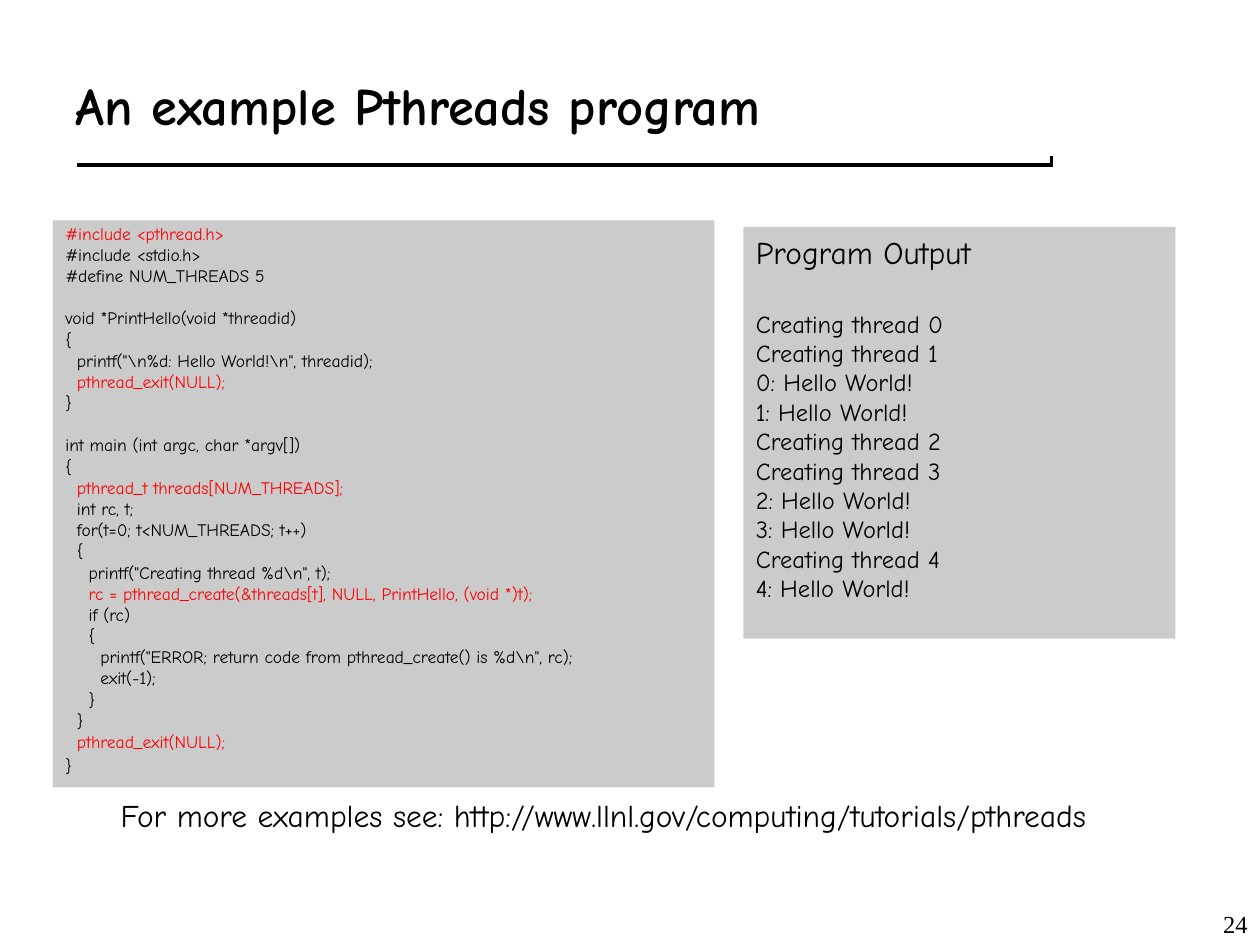
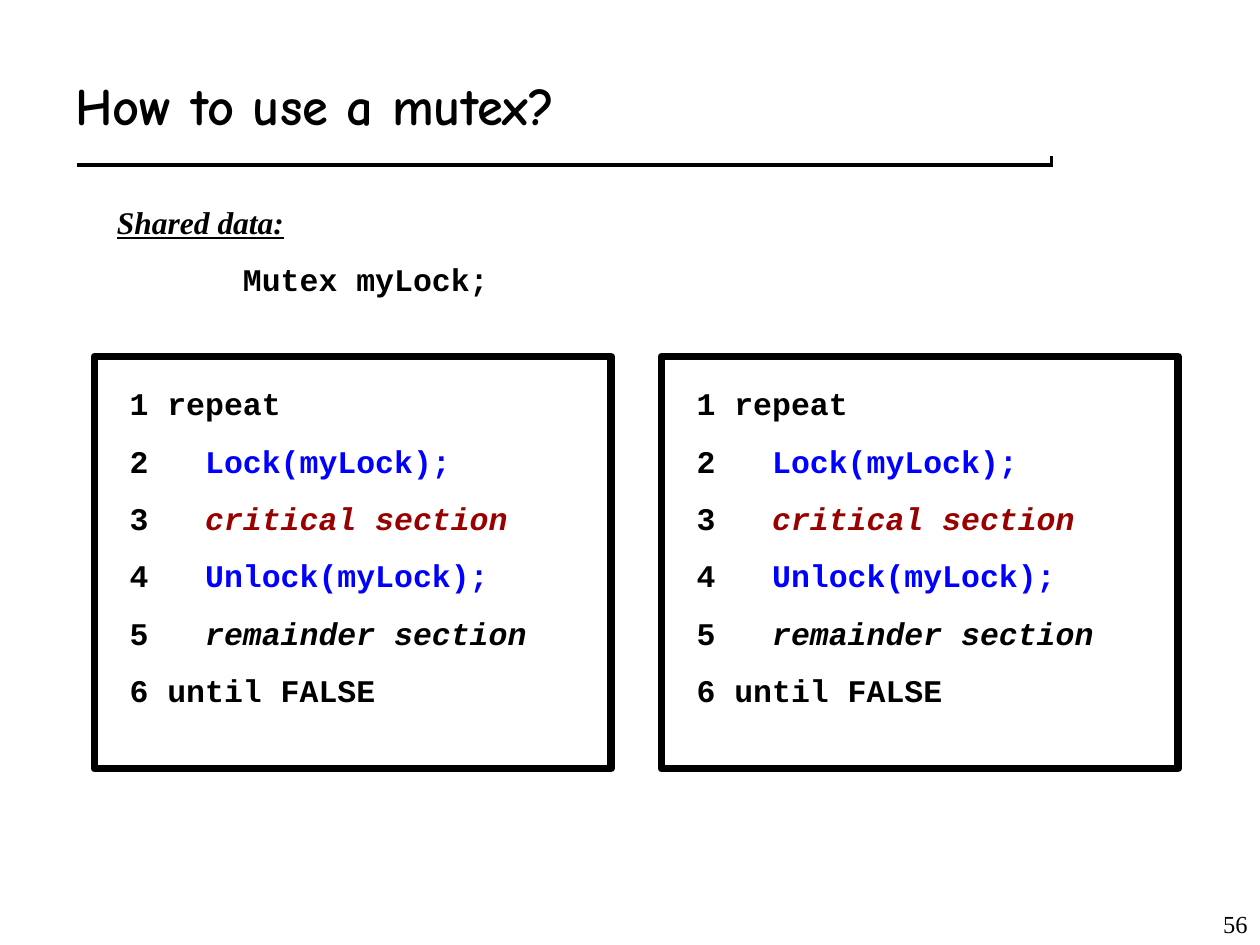
from lxml import etree
from pptx import Presentation
from pptx.dml.color import RGBColor
from pptx.enum.shapes import MSO_CONNECTOR, MSO_SHAPE
from pptx.enum.text import MSO_ANCHOR, PP_ALIGN
from pptx.oxml.ns import qn
from pptx.util import Inches, Pt

STRAIGHT = MSO_CONNECTOR.STRAIGHT
RECTANGLE = MSO_SHAPE.RECTANGLE
TOP, MIDDLE, BOTTOM = MSO_ANCHOR.TOP, MSO_ANCHOR.MIDDLE, MSO_ANCHOR.BOTTOM
LEFT, RIGHT = PP_ALIGN.LEFT, PP_ALIGN.RIGHT

COLORS = {
    "black": "000000",
    "white": "FFFFFF",
    "panel": "CBCBCB",
    "thread_call": "FF0000",
    "lock_call": "0000FF",
    "critical": "990000",
}
TITLE = {"name": "Comic Neue", "size": Pt(30), "bold": True}
NUMBER = {"name": "Times New Roman", "size": Pt(14)}
CODE = {"name": "Comic Neue", "size": Pt(10)}
HEADING = {"name": "Comic Neue", "size": Pt(18)}
OUTPUT = {"name": "Comic Neue", "size": Pt(14)}
PSEUDOCODE = {"name": "Courier New", "size": Pt(18), "bold": True}
SHARED = {"name": "Times New Roman", "size": Pt(18), "bold": True, "italic": True, "underline": True}


def add_text(slide, box, paragraphs, anchor=TOP, fill=None):
    lengths = [Inches(v) for v in box]
    if fill:
        holder = slide.shapes.add_shape(RECTANGLE, *lengths)
        holder.shadow.inherit = False
        holder.fill.solid()
        holder.fill.fore_color.rgb = RGBColor.from_string(COLORS[fill])
        holder.line.fill.background()
    else:
        holder = slide.shapes.add_textbox(*lengths)
    frame = holder.text_frame
    frame.word_wrap = True
    frame.vertical_anchor = anchor
    for index, (runs, spacing) in enumerate(paragraphs):
        paragraph = frame.add_paragraph() if index else frame.paragraphs[0]
        for attribute, value in {"alignment": LEFT, **spacing}.items():
            if index or attribute != "space_before":
                setattr(paragraph, attribute, value)
        for text, style, color in runs:
            run = paragraph.add_run()
            run.text = text
            for attribute, value in style.items():
                setattr(run.font, attribute, value)
            run.font.color.rgb = RGBColor.from_string(COLORS[color])
    return holder


def add_base(title, number):
    slide = deck.slides.add_slide(deck.slide_layouts[6])
    for x, y, color in ((0.61, 1.28, "black"), (0.58, 1.25, "white")):
        rule = slide.shapes.add_connector(STRAIGHT, Inches(x), Inches(y), Inches(x + 7.75), Inches(y))
        rule.line.width = Pt(6)
        rule.line.color.rgb = RGBColor.from_string(COLORS[color])
        etree.SubElement(rule._element.spPr, qn("a:effectLst"))
    add_text(slide, (0.5, 0.33, 8.58, 1), [([(title, TITLE, "black")], {})], MIDDLE)
    add_text(slide, (7.92, 7, 2.08, 0.5), [([(number, NUMBER, "black")], {"alignment": RIGHT})], BOTTOM)
    return slide


deck = Presentation()
deck.slide_width, deck.slide_height = Inches(10), Inches(7.5)

example = add_base("An example Pthreads program", "24")

program = r"""#include <pthread.h>
#include <stdio.h>
#define NUM_THREADS 5

void *PrintHello(void *threadid)
{
  printf("\n%d: Hello World!\n", threadid);
  pthread_exit(NULL);
}

int main (int argc, char *argv[])
{
  pthread_t threads[NUM_THREADS];
  int rc, t;
  for(t=0; t<NUM_THREADS; t++)
  {
    printf("Creating thread %d\n", t);
    rc = pthread_create(&threads[t], NULL, PrintHello, (void *)t);
    if (rc)
    {
      printf("ERROR; return code from pthread_create() is %d\n", rc);
      exit(-1);
    }
  }
  pthread_exit(NULL);
}"""
thread_marks = ("#include <pthread", "pthread_exit", "pthread_t ", "rc = ")
code_lines = []
for block in program.split("\n\n"):
    for position, line in enumerate(block.split("\n")):
        color = "thread_call" if line.strip().startswith(thread_marks) else "black"
        gap = Pt(2.5) if position else Pt(14.6)
        code_lines.append(([(line, CODE, color)], {"line_spacing": 0.8, "space_before": gap}))
code_lines[-1][1]["space_before"] = Pt(4.1)
add_text(example, (0.42, 1.75, 5.25, 4.5), code_lines, fill="panel")

messages = [
    "Creating thread 0", "Creating thread 1", "0: Hello World!", "1: Hello World!",
    "Creating thread 2", "Creating thread 3", "2: Hello World!", "3: Hello World!",
    "Creating thread 4", "4: Hello World!",
]
output_lines = [([("Program Output", HEADING, "black")], {})]
output_lines += [([(message, OUTPUT, "black")], {}) for message in messages]
output_lines[1][1]["space_before"] = Pt(21.6)
add_text(example, (5.9, 1.8, 3.43, 3.27), output_lines, fill="panel")

reference = "For more examples see: http://www.llnl.gov/computing/tutorials/pthreads"
add_text(example, (0.86, 6.33, 7.96, 0.64), [([(reference, HEADING, "black")], {"line_spacing": 0.8})])

mutex = add_base("How to use a mutex?", "56")

steps = [
    ("1 ", "repeat", "black", False),
    ("2   ", "Lock(myLock);", "lock_call", False),
    ("3   ", "critical section", "critical", True),
    ("4   ", "Unlock(myLock);", "lock_call", False),
    ("5   ", "remainder section", "black", True),
    ("6 ", "until FALSE", "black", False),
]
step_lines = [
    ([(number, PSEUDOCODE, "black"), (step, {**PSEUDOCODE, "italic": italic}, color)],
     {"space_before": Pt(11.2)})
    for number, step, color, italic in steps
]
for left in (0.75, 5.25):
    add_text(mutex, (left + 0.18, 3, 4.23, 2.68), step_lines)
    border = mutex.shapes.add_shape(RECTANGLE, Inches(left), Inches(2.83), Inches(4.1), Inches(3.27))
    border.shadow.inherit = False
    border.fill.background()
    border.line.width = Pt(4.5)
    border.line.color.rgb = RGBColor.from_string(COLORS["black"])

shared_data = add_text(mutex, (0.83, 1.56, 4.23, 0.86), [
    ([("Shared data:", SHARED, "black")], {}),
    ([("Mutex myLock;", PSEUDOCODE, "black")], {"space_before": Pt(11.2)}),
])
declaration = shared_data.text_frame.paragraphs[1]
declaration._p.get_or_add_pPr().set("marL", str(Inches(1)))

deck.save("out.pptx")
